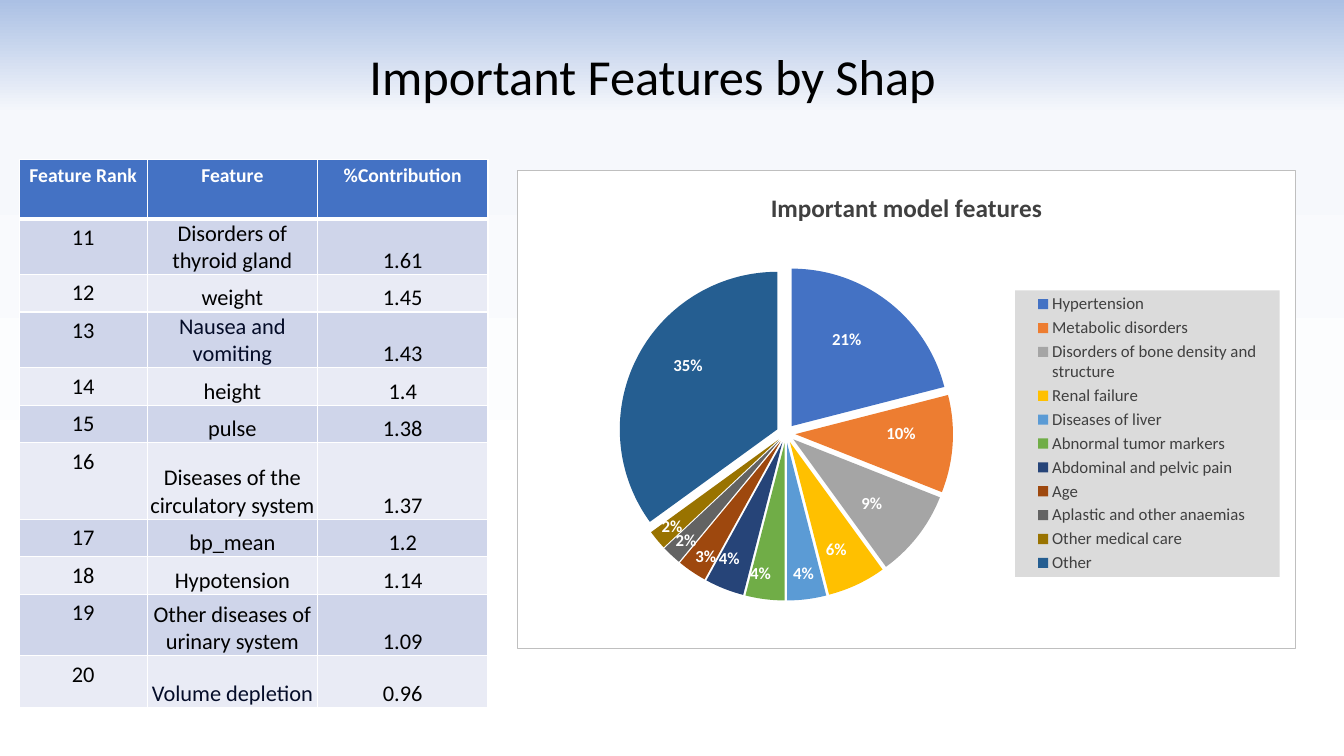
from copy import deepcopy
from lxml.etree import SubElement
from pptx import Presentation
from pptx.chart.data import CategoryChartData
from pptx.dml.color import RGBColor
from pptx.enum.chart import XL_CHART_TYPE, XL_LABEL_POSITION, XL_LEGEND_POSITION
from pptx.enum.text import MSO_ANCHOR, PP_ALIGN
from pptx.oxml import parse_xml
from pptx.oxml.ns import nsdecls, qn
from pptx.util import Inches, Pt

FONT = "Calibri"
BLACK = RGBColor(0x00, 0x00, 0x00)
WHITE = RGBColor(0xFF, 0xFF, 0xFF)
NAVY = RGBColor(0x04, 0x0C, 0x28)
CHARCOAL = RGBColor(0x40, 0x40, 0x40)
HEADER_BLUE = RGBColor(0x44, 0x72, 0xC4)
BANDS = [RGBColor(0xCF, 0xD5, 0xEA), RGBColor(0xE9, 0xEB, 0xF5)]
BACKGROUND_STOPS = [
    (0, RGBColor(0xAB, 0xC0, 0xE4)),
    (15, RGBColor(0xF6, 0xF8, 0xFC)),
    (69, WHITE),
]
SHARES = [
    ("Hypertension", 21, HEADER_BLUE),
    ("Metabolic disorders", 10, RGBColor(0xED, 0x7D, 0x31)),
    ("Disorders of bone density and structure", 9, RGBColor(0xA5, 0xA5, 0xA5)),
    ("Renal failure", 6, RGBColor(0xFF, 0xC0, 0x00)),
    ("Diseases of liver", 4, RGBColor(0x5B, 0x9B, 0xD5)),
    ("Abnormal tumor markers", 4, RGBColor(0x70, 0xAD, 0x47)),
    ("Abdominal and pelvic pain", 4, RGBColor(0x26, 0x44, 0x78)),
    ("Age", 3, RGBColor(0x9E, 0x48, 0x0E)),
    ("Aplastic and other anaemias", 2, RGBColor(0x63, 0x63, 0x63)),
    ("Other medical care", 2, RGBColor(0x99, 0x73, 0x00)),
    ("Other", 35, RGBColor(0x25, 0x5E, 0x91)),
]
LABEL_SHIFTS = {
    "Hypertension": (-0.03, 0.05),
    "Metabolic disorders": (-0.04, -0.02),
    "Disorders of bone density and structure": (-0.04, -0.04),
    "Renal failure": (-0.01, -0.04),
    "Diseases of liver": (0.01, -0.02),
    "Abnormal tumor markers": (-0.02, -0.02),
    "Abdominal and pelvic pain": (-0.01, -0.03),
    "Other": (0.04, -0.01),
}
FEATURES = [
    ("Feature Rank", "Feature", "%Contribution"),
    ("11", "Disorders of thyroid gland", "1.61"),
    ("12", "weight", "1.45"),
    ("13", "Nausea and vomiting", "1.43"),
    ("14", "height", "1.4"),
    ("15", "pulse", "1.38"),
    ("16", "Diseases of the circulatory system", "1.37"),
    ("17", "bp_mean", "1.2"),
    ("18", "Hypotension", "1.14"),
    ("19", "Other diseases of urinary system", "1.09"),
    ("20", "Volume depletion", "0.96"),
]
COLUMN_WIDTHS = [1.27, 1.69, 1.69]
ROW_HEIGHTS = [0.59, 0.52, 0.35, 0.52, 0.35, 0.35, 0.76, 0.35, 0.35, 0.61, 0.51]


def style_font(font, size, color, bold=False):
    font.name, font.size, font.bold = FONT, Pt(size), bold
    font.color.rgb = color


def manual_layout(x, y, extra="", modes='<c:xMode val="edge"/><c:yMode val="edge"/>', target=""):
    return parse_xml(
        f'<c:layout {nsdecls("c")}><c:manualLayout>{target}{modes}'
        f'<c:x val="{x}"/><c:y val="{y}"/>{extra}</c:manualLayout></c:layout>'
    )


prs = Presentation()
prs.slide_width, prs.slide_height = Inches(13.33), Inches(7.5)
slide = prs.slides.add_slide(prs.slide_layouts[6])

background = slide.background.fill
background.gradient()
background.gradient_angle = 270
stops = slide._element.find(".//" + qn("a:gsLst"))
for stop in list(stops):
    stops.remove(stop)
for percent, color in BACKGROUND_STOPS:
    stop = SubElement(stops, qn("a:gs"), pos=str(percent * 1000))
    SubElement(stop, qn("a:srgbClr"), val=str(color))

chart_data = CategoryChartData()
chart_data.categories = [name for name, share, color in SHARES]
chart_data.add_series("Series 1", [share for name, share, color in SHARES])
chart = slide.shapes.add_chart(
    XL_CHART_TYPE.PIE, Inches(5.13), Inches(1.69), Inches(7.72), Inches(4.75), chart_data
).chart
style_font(chart.font, 10, BLACK)
chart.has_title = True
chart.chart_title.include_in_layout = False
heading = chart.chart_title.text_frame.paragraphs[0]
heading.text = "Important model features"
style_font(heading.font, 18, CHARCOAL, True)

chart.has_legend = True
legend = chart.legend
legend.position = XL_LEGEND_POSITION.RIGHT
legend.include_in_layout = False
style_font(legend.font, 12, CHARCOAL)
legend_xml = legend._element
for old_layout in legend_xml.findall(qn("c:layout")):
    legend_xml.remove(old_layout)
legend_xml.find(qn("c:legendPos")).addnext(
    manual_layout(0.64, 0.25, '<c:w val="0.34"/><c:h val="0.6"/>')
)
legend_xml.find(qn("c:txPr")).addprevious(parse_xml(
    f'<c:spPr {nsdecls("c", "a")}><a:solidFill><a:srgbClr val="DBDBDB"/></a:solidFill></c:spPr>'
))

plot = chart.plots[0]
plot.vary_by_categories = True
plot_area = chart._chartSpace.chart.plotArea
for old_layout in plot_area.findall(qn("c:layout")):
    plot_area.remove(old_layout)
plot_area.insert(0, manual_layout(
    0.13, 0.2, '<c:w val="0.43"/><c:h val="0.7"/>', target='<c:layoutTarget val="inner"/>'
))
chart._chartSpace.chart.addnext(parse_xml(
    f'<c:spPr {nsdecls("c", "a")}><a:solidFill><a:srgbClr val="FFFFFF"/></a:solidFill>'
    '<a:ln w="9525"><a:solidFill><a:srgbClr val="BFBFBF"/></a:solidFill></a:ln></c:spPr>'
))

pie = plot.series[0]
for index, (name, share, color) in enumerate(SHARES):
    slice_fill = pie.points[index].format.fill
    slice_fill.solid()
    slice_fill.fore_color.rgb = color
pie._element.find(qn("c:dPt")).addprevious(
    parse_xml(f'<c:explosion {nsdecls("c")} val="6"/>')
)
labels = pie.data_labels
labels.show_percentage = True
labels.show_value = False
labels.number_format, labels.number_format_is_linked = "0%", False
labels.position = XL_LABEL_POSITION.INSIDE_END
style_font(labels.font, 12, WHITE, True)
labels_xml = labels._element
shared_label_parts = [
    part for part in labels_xml
    if part.tag not in (qn("c:showLeaderLines"), qn("c:leaderLines"))
]
position = 0
for index, (name, share, color) in enumerate(SHARES):
    if name in LABEL_SHIFTS:
        slice_label = parse_xml(f'<c:dLbl {nsdecls("c")}><c:idx val="{index}"/></c:dLbl>')
        slice_label.append(manual_layout(*LABEL_SHIFTS[name], modes=""))
        for part in shared_label_parts:
            slice_label.append(deepcopy(part))
        labels_xml.insert(position, slice_label)
        position += 1

table = slide.shapes.add_table(
    len(FEATURES), 3, Inches(0.19), Inches(1.58), Inches(4.65), Inches(5.39)
).table
for column, width in zip(table.columns, COLUMN_WIDTHS):
    column.width = Inches(width)
for row_index, (texts, height) in enumerate(zip(FEATURES, ROW_HEIGHTS)):
    is_header = row_index == 0
    table.rows[row_index].height = Inches(height)
    for column_index, text in enumerate(texts):
        cell = table.cell(row_index, column_index)
        cell.text = text
        paragraph = cell.text_frame.paragraphs[0]
        paragraph.alignment = PP_ALIGN.CENTER
        if is_header:
            style_font(paragraph.font, 14, WHITE, True)
        else:
            is_navy = text in ("Nausea and vomiting", "Volume depletion")
            style_font(paragraph.font, 16, NAVY if is_navy else BLACK)
            if column_index > 0:
                cell.vertical_anchor = MSO_ANCHOR.BOTTOM
                cell.margin_left = cell.margin_right = cell.margin_top = Inches(0.01)
                cell.margin_bottom = 0
        for side in ("lnL", "lnR", "lnT", "lnB"):
            thick = (is_header and side == "lnB") or (row_index == 1 and side == "lnT")
            border = SubElement(
                cell._tc.get_or_add_tcPr(), qn(f"a:{side}"), w=str(Pt(3 if thick else 1))
            )
            SubElement(SubElement(border, qn("a:solidFill")), qn("a:srgbClr"), val=str(WHITE))
        cell.fill.solid()
        cell.fill.fore_color.rgb = HEADER_BLUE if is_header else BANDS[(row_index - 1) % 2]

title = slide.shapes.add_textbox(Inches(0.29), Inches(0.4), Inches(12.37), Inches(0.71)).text_frame
title.word_wrap = True
title_line = title.paragraphs[0]
title_line.text = "Important Features by Shap"
title_line.alignment = PP_ALIGN.CENTER
style_font(title_line.font, 36, BLACK)

prs.save("out.pptx")
